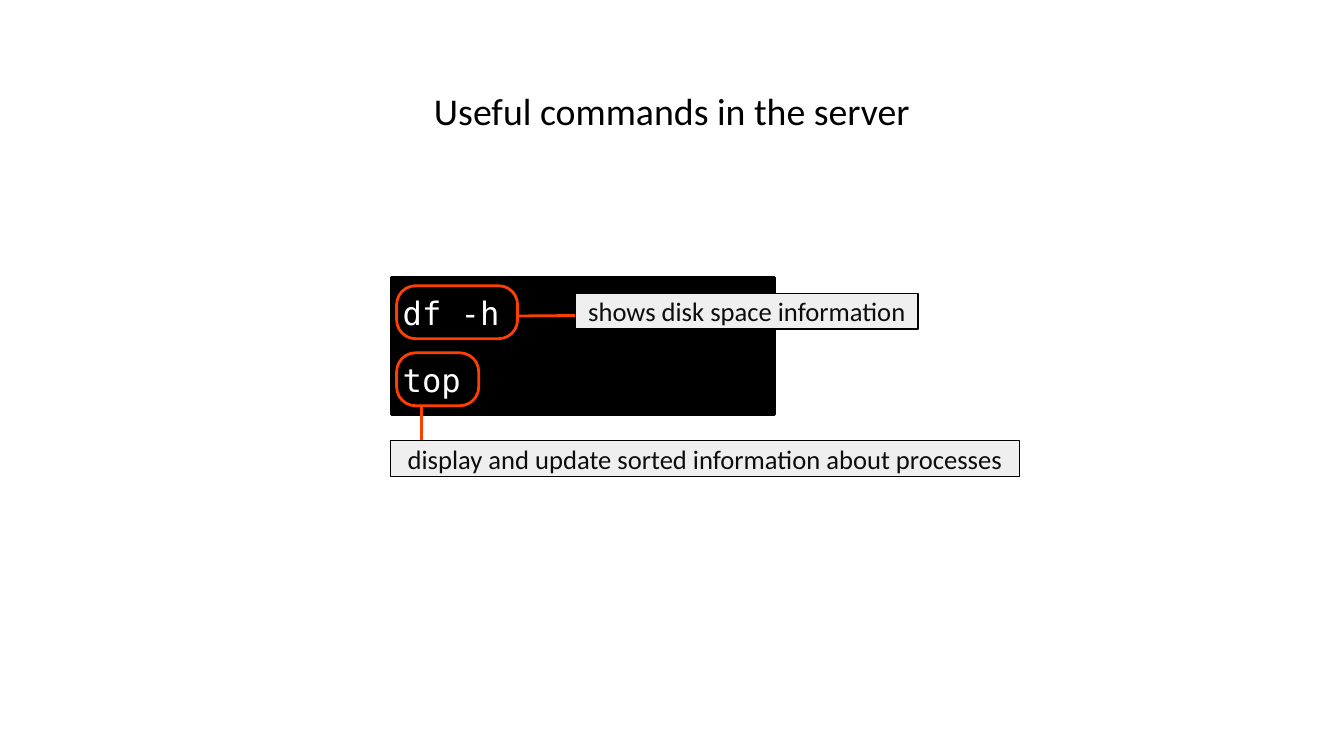
import pptx
import pptx.dml.color
import pptx.enum.shapes
import pptx.enum.text
import pptx.oxml.ns
import pptx.util
from lxml import etree

COLORS = {"black": "000000", "white": "FFFFFF", "accent": "FF3F00", "label": "EFEFEF", "label_text": "0D0D0D"}
SANS, MONO = "Calibri", "DejaVu Sans Mono"
WIDTH, HEIGHT = 26.67, 15
COLUMNS = ROWS = 100
RING_LEFT, RING_HEIGHT, LABEL_HEIGHT = 29.51, 7, 4.73
LEFT, CENTER = pptx.enum.text.PP_ALIGN.LEFT, pptx.enum.text.PP_ALIGN.CENTER
SHAPES = pptx.enum.shapes.MSO_SHAPE


class CommandSlide:
    """Draws annotated terminal commands on a grid of 100 columns and 100 rows."""

    def __init__(self, presentation):
        self.slide = presentation.slides.add_slide(presentation.slide_layouts[5])
        self.target = self.slide.shapes

    def x(self, columns):
        return pptx.util.Inches(columns * WIDTH / COLUMNS)

    def y(self, rows):
        return pptx.util.Inches(rows * HEIGHT / ROWS)

    def box(self, left, top, width, height):
        return self.x(left), self.y(top), self.x(width), self.y(height)

    def color(self, name):
        return pptx.dml.color.RGBColor.from_string(COLORS[name])

    def add_text(self, shape, text, font, size, color, alignment, inset=0.07):
        frame = shape.text_frame
        frame.vertical_anchor = pptx.enum.text.MSO_ANCHOR.MIDDLE
        frame.margin_left = frame.margin_right = pptx.util.Inches(inset)
        frame.margin_top = frame.margin_bottom = pptx.util.Inches(inset)
        paragraph = frame.paragraphs[0]
        paragraph.alignment = alignment
        run = paragraph.add_run()
        run.text = text
        run.font.name = font
        run.font.size = pptx.util.Pt(size)
        run.font.color.rgb = self.color(color)
        return paragraph

    def title(self, text, left, top, width, height):
        shape = self.slide.shapes.title
        shape.left, shape.top, shape.width, shape.height = self.box(left, top, width, height)
        paragraph = self.add_text(shape, text, SANS, 54, "black", CENTER, 0.1)
        paragraph.line_spacing = 0.9

    def panel(self, kind, left, top, width, height, fill, line, weight):
        shape = self.target.add_shape(kind, *self.box(left, top, width, height))
        shape.shadow.inherit = False
        if fill:
            shape.fill.solid()
            shape.fill.fore_color.rgb = self.color(fill)
        else:
            shape.fill.background()
        shape.line.color.rgb = self.color(line)
        shape.line.width = pptx.util.Pt(weight)
        return shape

    def command(self, text, top, text_width, ring_width):
        textbox = self.target.add_textbox(*self.box(RING_LEFT + 0.19, top + 0.47, text_width, 6.07))
        textbox.text_frame.word_wrap = False
        self.add_text(textbox, text, MONO, 46, "white", LEFT)
        ring = self.panel(SHAPES.ROUNDED_RECTANGLE, RING_LEFT, top, ring_width, RING_HEIGHT, None, "accent", 4)
        ring.adjustments[0] = 0.357

    def leader(self, start, end):
        connector = self.target.add_connector(
            pptx.enum.shapes.MSO_CONNECTOR.STRAIGHT,
            self.x(start[0]), self.y(start[1]), self.x(end[0]), self.y(end[1]))
        connector.line.color.rgb = self.color("accent")
        connector.line.width = pptx.util.Pt(4)
        etree.SubElement(connector._element.spPr, pptx.oxml.ns.qn("a:effectLst"))

    def label(self, text, left, top, width):
        shape = self.panel(SHAPES.RECTANGLE, left, top, width, LABEL_HEIGHT, "label", "black", 2)
        shape.text_frame.word_wrap = False
        self.add_text(shape, text, SANS, 38, "label_text", CENTER)

    def explained_command(self, command, leader, label):
        self.target = self.slide.shapes.add_group_shape().shapes
        self.command(*command)
        self.leader(*leader)
        self.label(*label)
        self.target = self.slide.shapes


def main():
    presentation = pptx.Presentation()
    presentation.slide_width = pptx.util.Inches(WIDTH)
    presentation.slide_height = pptx.util.Inches(HEIGHT)
    page = CommandSlide(presentation)
    page.title("Useful commands in the server", 17.66, 5.33, 64.68, 19.33)
    page.panel(SHAPES.RECTANGLE, 29.13, 36.67, 28.5, 18.2, "black", "black", 4)
    page.explained_command(
        ("top", 46.67, 4.91, 6.11),
        ((31.35, 58.93), (31.35, 53.6)),
        ("display and update sorted information about processes", 29.06, 58.27, 46.79))
    page.explained_command(
        ("df -h", 37.8, 7.8, 9),
        ((38.58, 41.8), (42.9, 41.73)),
        ("shows disk space information", 42.82, 38.8, 25.5))
    presentation.save("out.pptx")


if __name__ == "__main__":
    main()
